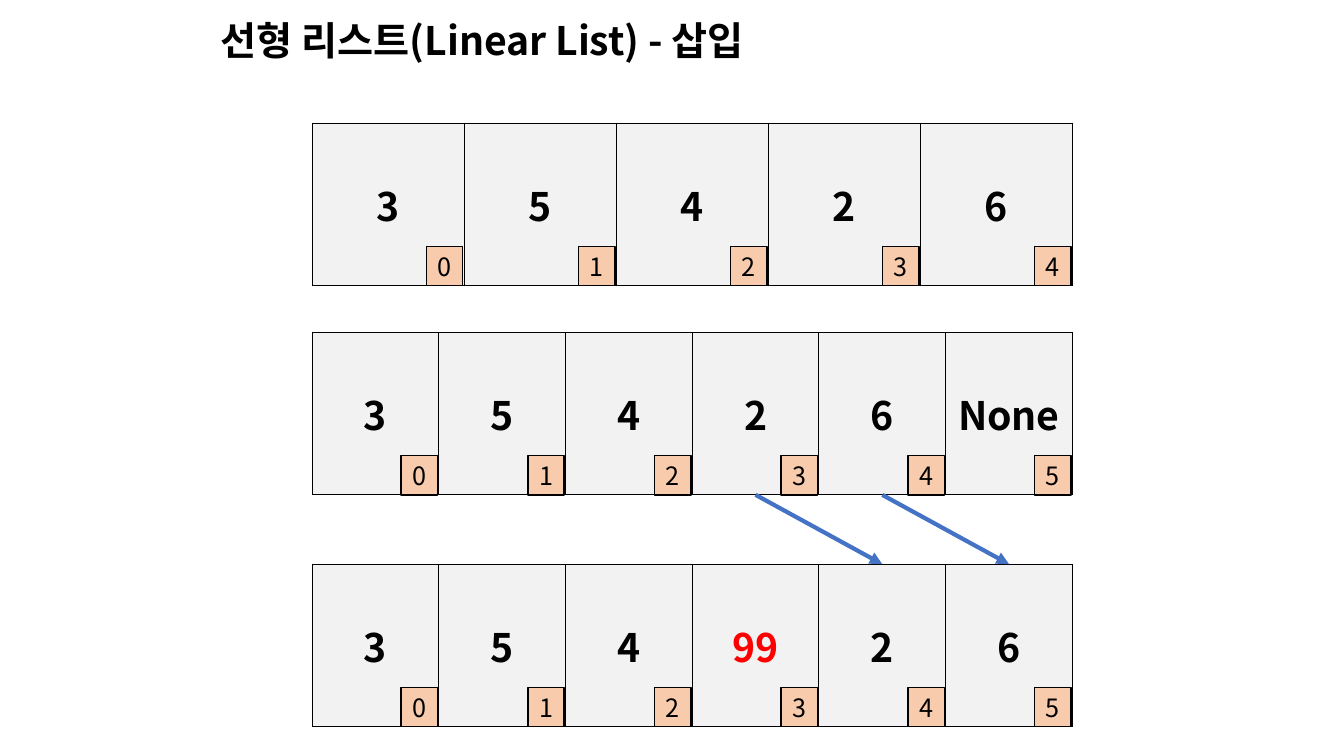
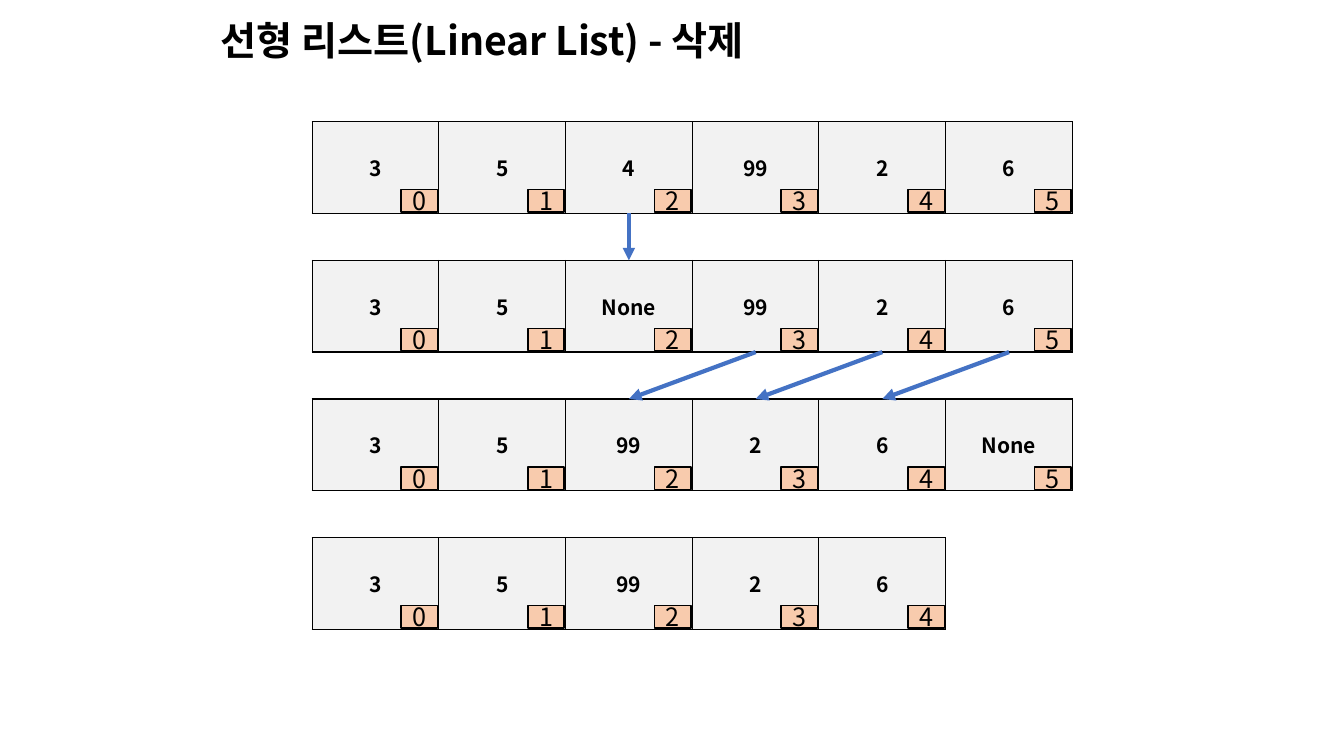
"""Build two slides on inserting into and deleting from a linear list."""
from pptx import Presentation
from pptx.dml.color import RGBColor
from pptx.enum.shapes import MSO_CONNECTOR, MSO_SHAPE
from pptx.enum.text import MSO_ANCHOR as Anchor, MSO_AUTO_SIZE as AutoSize, PP_ALIGN as Align
from pptx.oxml.ns import qn
from pptx.util import Pt
from lxml.etree import SubElement

COLORS = {"ink": "000000", "cell": "F2F2F2", "index": "F8CBAD", "arrow": "4472C4", "new": "FF0000"}
FONT = "Noto Sans CJK KR"
LEFT, WIDTH, SLOTS = 223, 543, 6
SLOT_WIDTH = WIDTH / SLOTS


def color(name):
    return RGBColor.from_string(COLORS[name])


class ListDeck:
    def __init__(self):
        self.deck = Presentation()
        self.deck.slide_width, self.deck.slide_height = Pt(960), Pt(540)
        self.page = None

    def set_text(self, frame, text, size, bold=False, ink="ink", align=Align.CENTER):
        para = frame.paragraphs[0]
        para.text = text
        para.alignment = align
        font = para.font
        font.size, font.bold, font.name = Pt(size), bold, FONT
        font.color.rgb = color(ink)
        latin = para._p.pPr.find(qn("a:defRPr")).find(qn("a:latin"))
        east_asian = latin.makeelement(qn("a:ea"), {"typeface": FONT})
        latin.addnext(east_asian)

    def add_page(self, title):
        self.page = self.deck.slides.add_slide(self.deck.slide_layouts.get_by_name("Title Only"))
        box = self.page.shapes.title
        box.left, box.top, box.width, box.height = Pt(150.5), Pt(8), Pt(480), Pt(41)
        frame = box.text_frame
        frame.word_wrap, frame.auto_size = True, AutoSize.SHAPE_TO_FIT_TEXT
        frame.vertical_anchor = Anchor.TOP
        self.set_text(frame, title, 28, bold=True, align=Align.LEFT)

    def add_border(self, cell):
        properties = cell._tc.get_or_add_tcPr()
        for side in ("lnL", "lnR", "lnT", "lnB"):
            line = SubElement(properties, qn(f"a:{side}"), w=str(Pt(1)))
            fill = SubElement(line, qn("a:solidFill"))
            SubElement(fill, qn("a:srgbClr"), val=COLORS["ink"])

    def add_index(self, index, right, bottom, height):
        box = self.page.shapes.add_shape(
            MSO_SHAPE.RECTANGLE, Pt(right - 27), Pt(bottom - height), Pt(26), Pt(height))
        box.shadow.inherit = False
        box.fill.solid()
        box.fill.fore_color.rgb = color("index")
        box.line.color.rgb = color("ink")
        box.line.width = Pt(1)
        box.text_frame.vertical_anchor = Anchor.MIDDLE
        self.set_text(box.text_frame, str(index), 18)

    def add_list(self, values, top, height, size, margin, index_height, index_gap=0,
                 slot_width=SLOT_WIDTH, new=None):
        table = self.page.shapes.add_table(
            1, len(values), Pt(LEFT), Pt(top), Pt(slot_width * len(values)), Pt(height)).table
        table.first_row = table.horz_banding = False
        for index, value in enumerate(values):
            table.columns[index].width = Pt(slot_width)
            cell = table.cell(0, index)
            self.add_border(cell)
            cell.fill.solid()
            cell.fill.fore_color.rgb = color("cell")
            cell.vertical_anchor = Anchor.MIDDLE
            cell.margin_left = cell.margin_right = Pt(6.8)
            cell.margin_top = cell.margin_bottom = Pt(margin)
            self.set_text(cell.text_frame, value, size, bold=True, ink="new" if index == new else "ink")
            self.add_index(index, LEFT + slot_width * (index + 1), top + height - index_gap, index_height)

    def add_arrow(self, source, target, top, bottom):
        start, end = (LEFT + SLOT_WIDTH * (slot + 0.5) for slot in (source, target))
        arrow = self.page.shapes.add_connector(
            MSO_CONNECTOR.STRAIGHT, Pt(start), Pt(top), Pt(end), Pt(bottom))
        arrow.line.color.rgb = color("arrow")
        arrow.line.width = Pt(3)
        SubElement(arrow.line._get_or_add_ln(), qn("a:tailEnd"), type="triangle")
        SubElement(arrow._element.spPr, qn("a:effectLst"))


def build_insertion(board):
    board.add_page("선형 리스트(Linear List) - 삽입")
    height, grown_top, shifted_top = 116, 237.5, 403
    style = {"height": height, "size": 28, "margin": 3.6, "index_height": 28}
    board.add_list(["3", "5", "4", "2", "6"], 88, slot_width=WIDTH / 5, **style)
    board.add_list(["3", "5", "4", "2", "6", "None"], grown_top, **style)
    board.add_list(["3", "5", "4", "99", "2", "6"], shifted_top, new=3, **style)
    for slot in (3, 4):
        board.add_arrow(slot, slot + 1, grown_top + height, shifted_top)


def build_deletion(board):
    board.add_page("선형 리스트(Linear List) - 삭제")
    height = 65.5
    tops = [87 + 99 * row for row in range(4)]
    steps = [
        ["3", "5", "4", "99", "2", "6"],
        ["3", "5", "None", "99", "2", "6"],
        ["3", "5", "99", "2", "6", "None"],
        ["3", "5", "99", "2", "6"],
    ]
    for top, values in zip(tops, steps):
        board.add_list(values, top, height, size=15, margin=1.8, index_height=16, index_gap=1)
    board.add_arrow(2, 2, tops[0] + height, tops[1])
    for slot in (3, 4, 5):
        board.add_arrow(slot, slot - 1, tops[1] + height, tops[2])


def main():
    board = ListDeck()
    build_insertion(board)
    build_deletion(board)
    board.deck.save("out.pptx")


if __name__ == "__main__":
    main()
